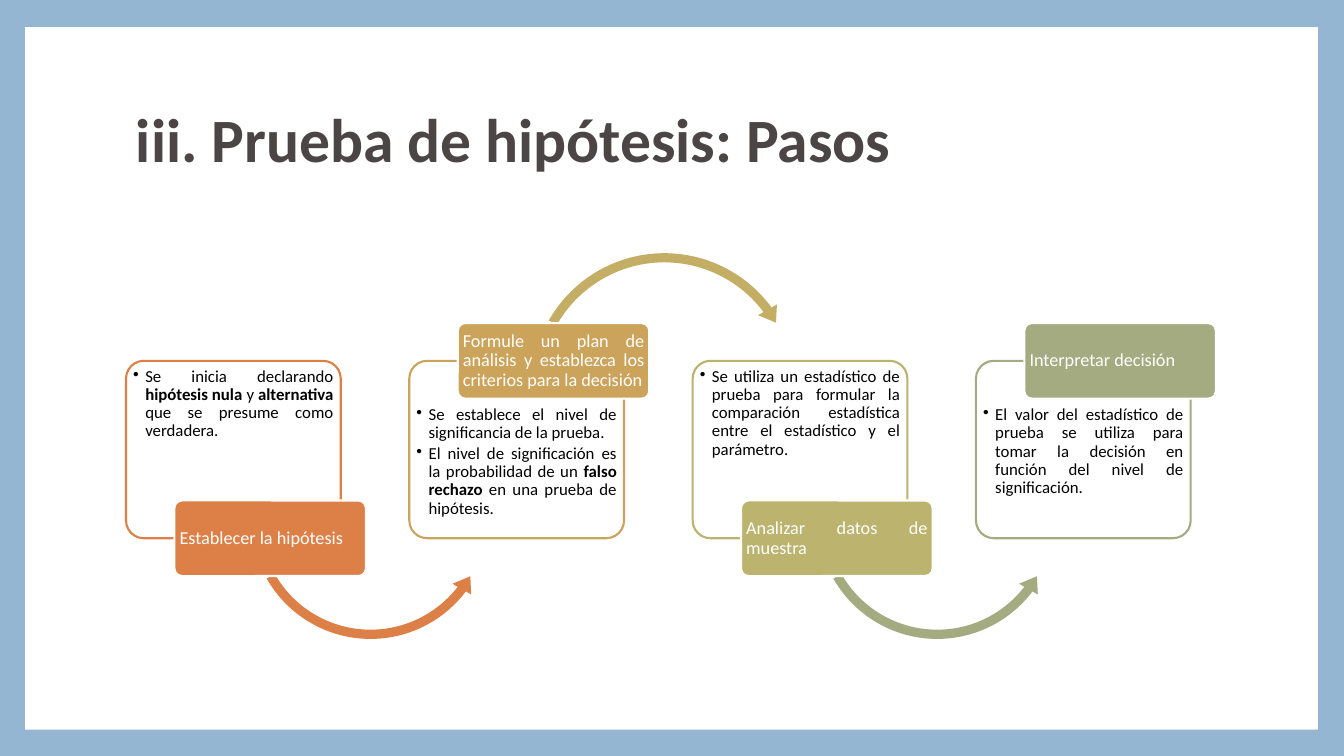
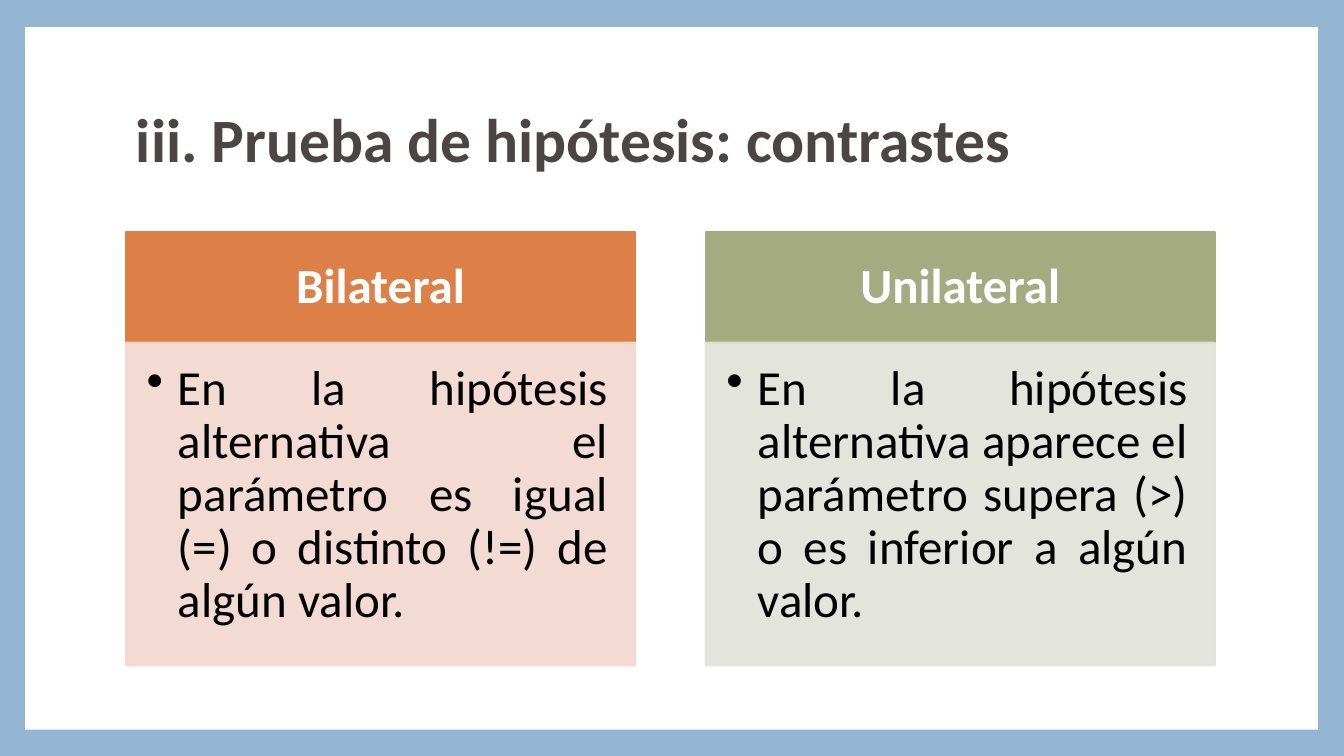
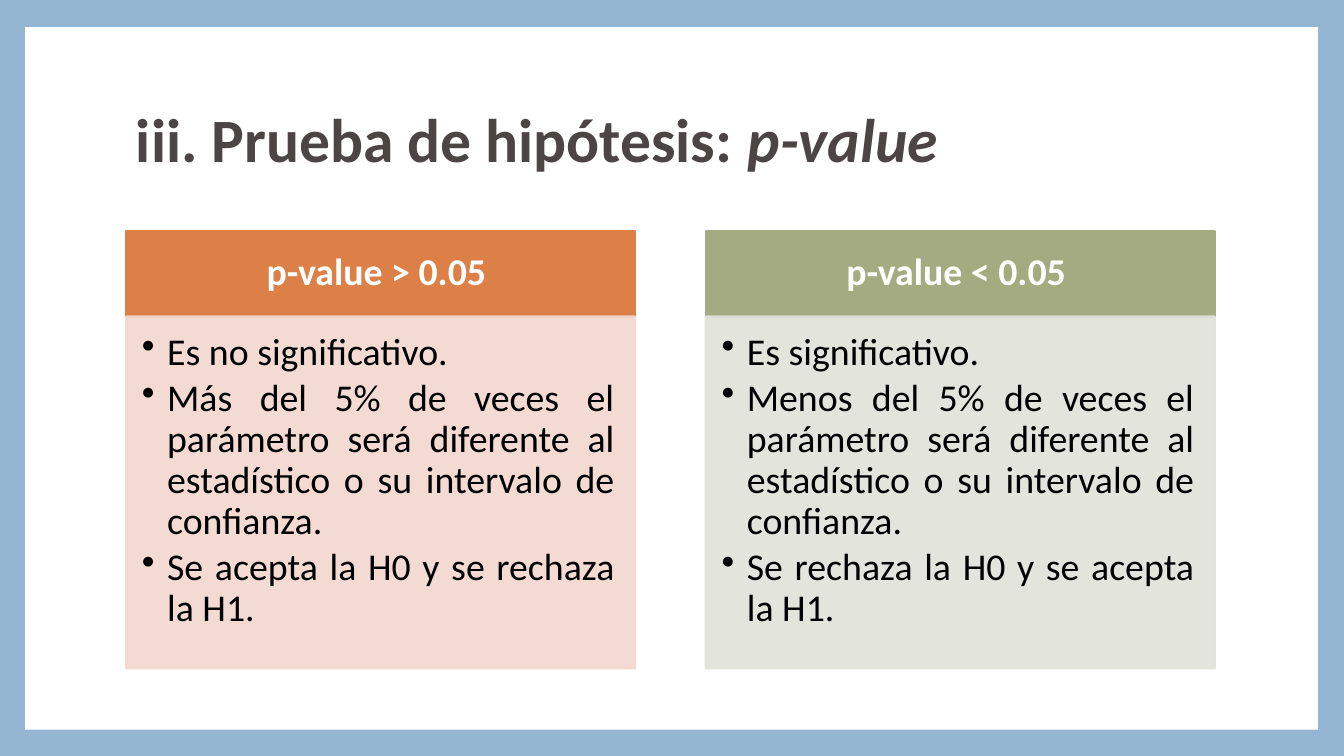
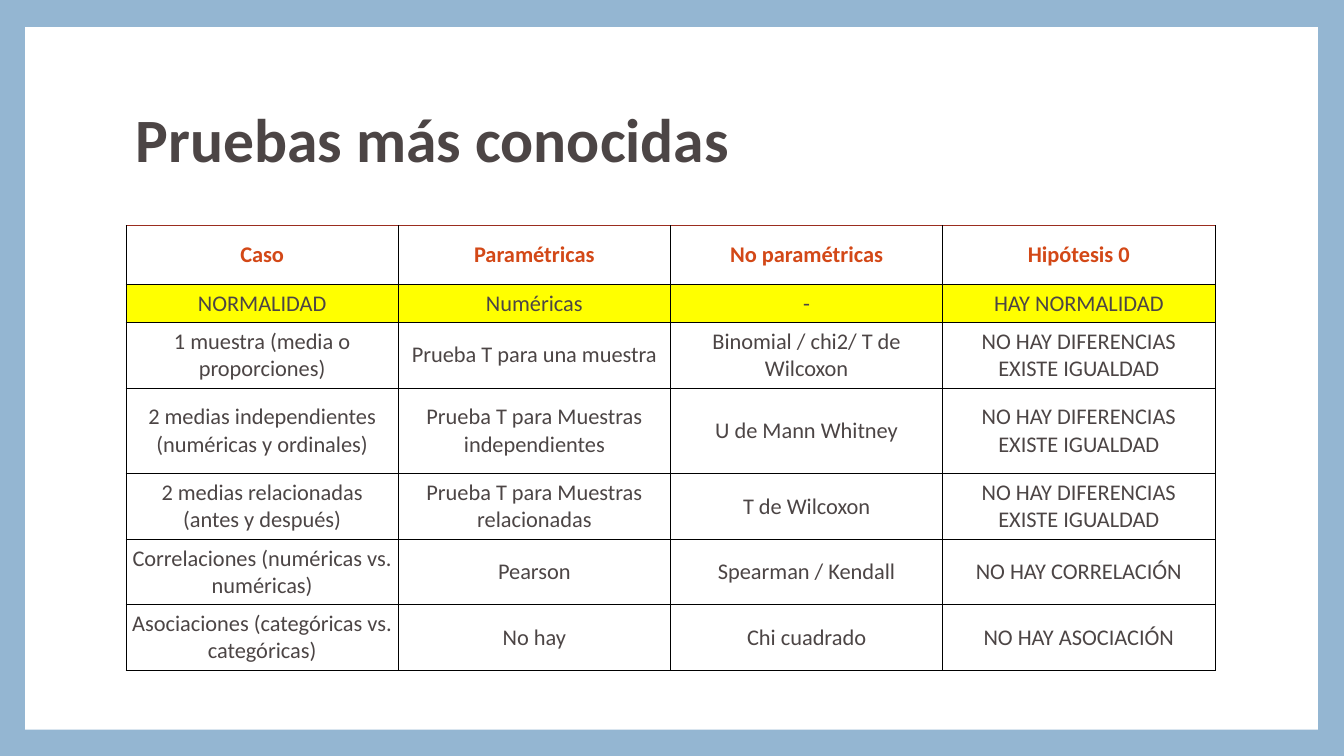
from dataclasses import dataclass
from pptx import Presentation
from pptx.dml.color import RGBColor
from pptx.enum.shapes import MSO_SHAPE as Kind
from pptx.enum.text import MSO_ANCHOR as Anchor, PP_ALIGN as Align
from pptx.oxml.ns import qn
from pptx.util import Inches, Pt
from lxml.etree import SubElement


@dataclass(frozen=True)
class Theme:
    """Colours, type sizes and margins shared by the slides."""
    font: str = "Calibri"
    back: str = "94B6D2"
    paper: str = "FFFFFF"
    ink: str = "4C4545"
    black: str = "000000"
    head: str = "D34817"
    rust: str = "9B2D1F"
    mark: str = "FFFF00"
    orange: str = "DD8047"
    gold: str = "CCA35B"
    sand: str = "C4AD64"
    olive: str = "BBB36E"
    sage: str = "A5AB81"
    blush: str = "F2D8CF"
    mist: str = "E1E2D8"
    title: int = 44
    cell: int = 16
    tag: int = 13
    note: int = 12
    line: float = 1.5
    left: float = 1.25
    width: float = 10.8


T = Theme()

STEPS = [
    ("Establecer la hipótesis", T.orange, T.orange,
     ["Se inicia declarando |hipótesis nula |y |alternativa| que se presume como verdadera."]),
    ("Formule un plan de análisis y establezca los criterios para la decisión", T.gold, T.sand,
     ["Se establece el nivel de significancia de la prueba.",
      "El nivel de significación es la probabilidad de un |falso rechazo |en una prueba de hipótesis."]),
    ("Analizar datos de muestra", T.olive, T.sage,
     ["Se utiliza un estadístico de prueba para formular la comparación estadística "
      "entre el estadístico y el parámetro."]),
    ("Interpretar decisión", T.sage, None,
     ["El valor del estadístico de prueba se utiliza para tomar la decisión en función "
      "del nivel de significación."]),
]

TESTS = [
    ("Bilateral", ["En la hipótesis alternativa el parámetro es igual (=) o distinto (!=) de algún valor."]),
    ("Unilateral", ["En la hipótesis alternativa aparece el parámetro supera (>) o es inferior a algún valor."]),
]

VALUES = [
    ("p-value > 0.05 ", [
        "Es no significativo.",
        "Más del 5% de veces el parámetro será diferente al estadístico o su intervalo de confianza.",
        "Se acepta la H0 y se rechaza la H1."]),
    ("p-value < 0.05 ", [
        "Es significativo.",
        "Menos del 5% de veces el parámetro será diferente al estadístico o su intervalo de confianza.",
        "Se rechaza la H0 y se acepta la H1."]),
]

SAME = "NO HAY DIFERENCIAS\nEXISTE IGUALDAD"
ROWS = [
    (0.58, "Caso", "Paramétricas", "No paramétricas", "Hipótesis 0"),
    (0.38, "NORMALIDAD", "Numéricas", "-", "HAY NORMALIDAD"),
    (0.65, "1 muestra (media o proporciones)", "Prueba T para una muestra",
     "Binomial / chi2/ T de Wilcoxon", SAME),
    (0.85, "2 medias independientes (numéricas y ordinales)",
     "Prueba T para Muestras independientes", "U de Mann Whitney", SAME),
    (0.65, "2 medias relacionadas (antes y después)",
     "Prueba T para Muestras relacionadas", "T de Wilcoxon", SAME),
    (0.65, "Correlaciones (numéricas vs. numéricas)", "Pearson", "Spearman / Kendall",
     "NO HAY CORRELACIÓN"),
    (0.65, "Asociaciones (categóricas vs. categóricas)", "No hay", "Chi cuadrado",
     "NO HAY ASOCIACIÓN"),
]


def rgb(code):
    return RGBColor.from_string(code)


def style(run, size, color, bold=False, italic=False):
    font = run.font
    font.name, font.size, font.bold, font.italic = T.font, Pt(size), bold, italic
    font.color.rgb = rgb(color)


def pad(box, left, top, right, low):
    box.margin_left, box.margin_top = Inches(left), Inches(top)
    box.margin_right, box.margin_bottom = Inches(right), Inches(low)


def write(frame, lines, size, color, align, anchor, bold=False, hang=0, slant=False):
    """Fill a frame; text between bars is stressed in bold, or in italics if slant."""
    frame.word_wrap, frame.vertical_anchor = True, anchor
    for i, line in enumerate(lines):
        para = frame.add_paragraph() if i else frame.paragraphs[0]
        para.alignment, para.line_spacing = align, 0.9
        if hang:
            para.space_after = Pt(round(size * 0.15, 1))
            props = para._p.get_or_add_pPr()
            props.set("marL", str(Inches(hang)))
            props.set("indent", str(-Inches(hang)))
            SubElement(props, qn("a:buChar")).set("char", "•")
        for k, part in enumerate(line.split("|")):
            run = para.add_run()
            run.text = part
            style(run, size, color, bold or (k % 2 == 1 and not slant), k % 2 == 1 and slant)


def shape(slide, kind, area, fill, edge=None, alpha=100, adj=()):
    item = slide.shapes.add_shape(kind, *map(Inches, area))
    item.shadow.inherit = False
    for i, share in enumerate(adj):
        item.adjustments[i] = share / 100
    item.fill.solid()
    item.fill.fore_color.rgb = rgb(fill)
    if edge:
        item.line.color.rgb, item.line.width = rgb(edge), Pt(T.line)
    else:
        item.line.fill.background()
    if alpha < 100:
        for tint in item._element.spPr.iter(qn("a:srgbClr")):
            SubElement(tint, qn("a:alpha")).set("val", str(alpha * 1000))
    return item


def start(deck, title):
    slide = deck.slides.add_slide(deck.slide_layouts[6])
    shape(slide, Kind.RECTANGLE, (0.25, 0.27, 12.82, 6.97), T.paper)
    box = slide.shapes.add_textbox(*map(Inches, (T.left, 0.67, T.width, 1.48)))
    write(box.text_frame, [title], T.title, T.ink, Align.LEFT, Anchor.MIDDLE, True, slant=True)
    return slide


def flow(slide):
    """Draw the chain of steps, with labels low and high in turn."""
    step, wide, tall, top, label = 2.81, 2.13, 1.76, 3.58, 0.75
    low = (Kind.LEFT_CIRCULAR_ARROW, 1.18, 3.91, 2.49, (3.7, 461.5, 2237, 9024.5, 4.3))
    high = (Kind.CIRCULAR_ARROW, 1.15, 2.45, 2.76, (3.3, 412.4, 19412.1, 12575.5, 3.9))
    for i, (name, color, bend, notes) in enumerate(STEPS):
        x, up = T.left + i * step, i % 2
        box = shape(slide, Kind.ROUNDED_RECTANGLE, (x, top, wide, tall), T.paper, color, adj=(10,))
        pad(box.text_frame, 0.02, 0.4 if up else 0.02, 0.02, 0.02)
        write(box.text_frame, notes, T.note, T.black, Align.JUSTIFY, Anchor.TOP, hang=0.12)
        if bend:
            kind, dx, y, size, adj = high if up else low
            shape(slide, kind, (x + dx, y, size, size), bend, adj=adj)
        mid = top if up else top + tall
        tag = shape(slide, Kind.ROUNDED_RECTANGLE, (x + 0.48, mid - label / 2, 1.9, label),
                    color, T.paper, adj=(10,))
        pad(tag.text_frame, 0.03, 0.02, 0.03, 0.02)
        write(tag.text_frame, [name], T.tag, T.paper, Align.JUSTIFY, Anchor.MIDDLE)


def panels(slide, items, size, top, label, tall, hang):
    """Draw two headed panels; their margins follow the type size."""
    em = size / 72
    tints = (T.orange, T.blush), (T.sage, T.mist)
    for i, ((name, notes), (dark, pale)) in enumerate(zip(items, tints)):
        x, wide = T.left + i * 5.75, 5.05
        head = shape(slide, Kind.RECTANGLE, (x, top, wide, label), dark, dark)
        pad(head.text_frame, em * 0.55, em * 0.32, em * 0.55, em * 0.32)
        write(head.text_frame, [name], size, T.paper, Align.CENTER, Anchor.MIDDLE, True)
        body = shape(slide, Kind.RECTANGLE, (x, top + label, wide, tall), pale, pale, 90)
        pad(body.text_frame, em * 0.42, em * 0.42, em * 0.55, em * 0.64)
        write(body.text_frame, notes, size, T.black, Align.JUSTIFY, Anchor.TOP, hang=hang)


def border(cell, first):
    props = cell._tc.get_or_add_tcPr()
    for side, width in (("L", 0.6), ("R", 0.6), ("T", 0.8), ("B", 0.8)):
        line = SubElement(props, qn("a:ln" + side))
        line.set("w", str(Pt(width)))
        fill = SubElement(line, qn("a:solidFill"))
        SubElement(fill, qn("a:srgbClr")).set("val", T.rust if first and side == "T" else T.black)


def grid(slide):
    cols = len(ROWS[0]) - 1
    area = (T.left, 2.24, T.width, sum(row[0] for row in ROWS))
    table = slide.shapes.add_table(len(ROWS), cols, *map(Inches, area)).table
    table.first_row = table.horz_banding = False
    for r, (tall, *texts) in enumerate(ROWS):
        table.rows[r].height = Inches(tall)
        for c, text in enumerate(texts):
            cell = table.cell(r, c)
            border(cell, r == 0)
            cell.fill.solid()
            cell.fill.fore_color.rgb = rgb(T.mark if r == 1 else T.paper)
            cell.vertical_anchor = Anchor.MIDDLE
            pad(cell, 0.06, 0.03, 0.06, 0.03)
            cell.text_frame.text = text
            for para in cell.text_frame.paragraphs:
                para.alignment = Align.CENTER
                for run in para.runs:
                    style(run, T.cell, T.ink if r else T.head, r == 0)


def main():
    deck = Presentation()
    deck.slide_width, deck.slide_height = Inches(13.33), Inches(7.5)
    back = deck.slide_master.background.fill
    back.solid()
    back.fore_color.rgb = rgb(T.back)
    flow(start(deck, "iii. Prueba de hipótesis: Pasos"))
    panels(start(deck, "iii. Prueba de hipótesis: contrastes"), TESTS, 35, 2.3, 1.1, 3.2, 0.31)
    panels(start(deck, "iii. Prueba de hipótesis: |p-value"), VALUES, 27, 2.29, 0.85, 3.49, 0.25)
    grid(start(deck, "Pruebas más conocidas"))
    deck.save("out.pptx")


if __name__ == "__main__":
    main()
